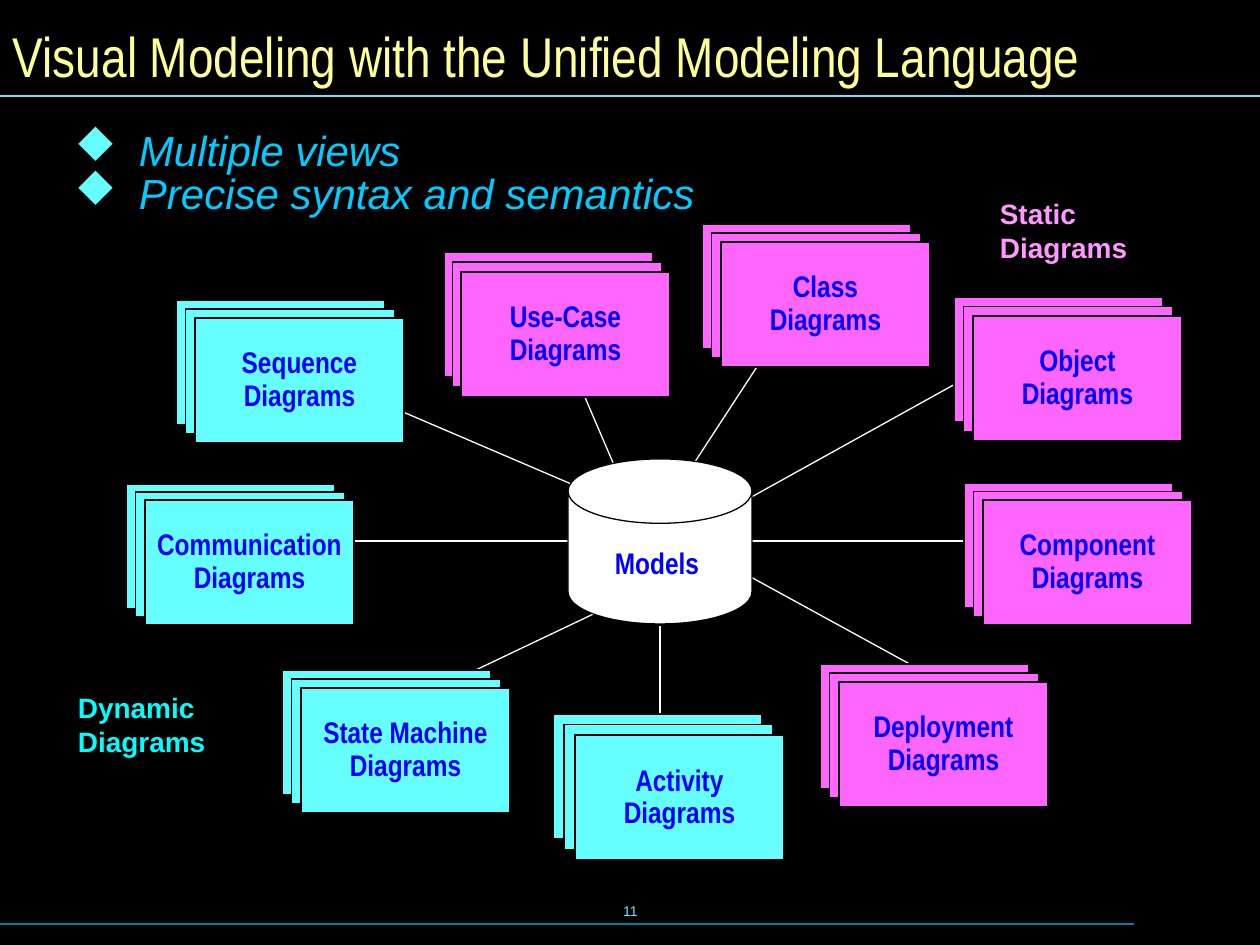
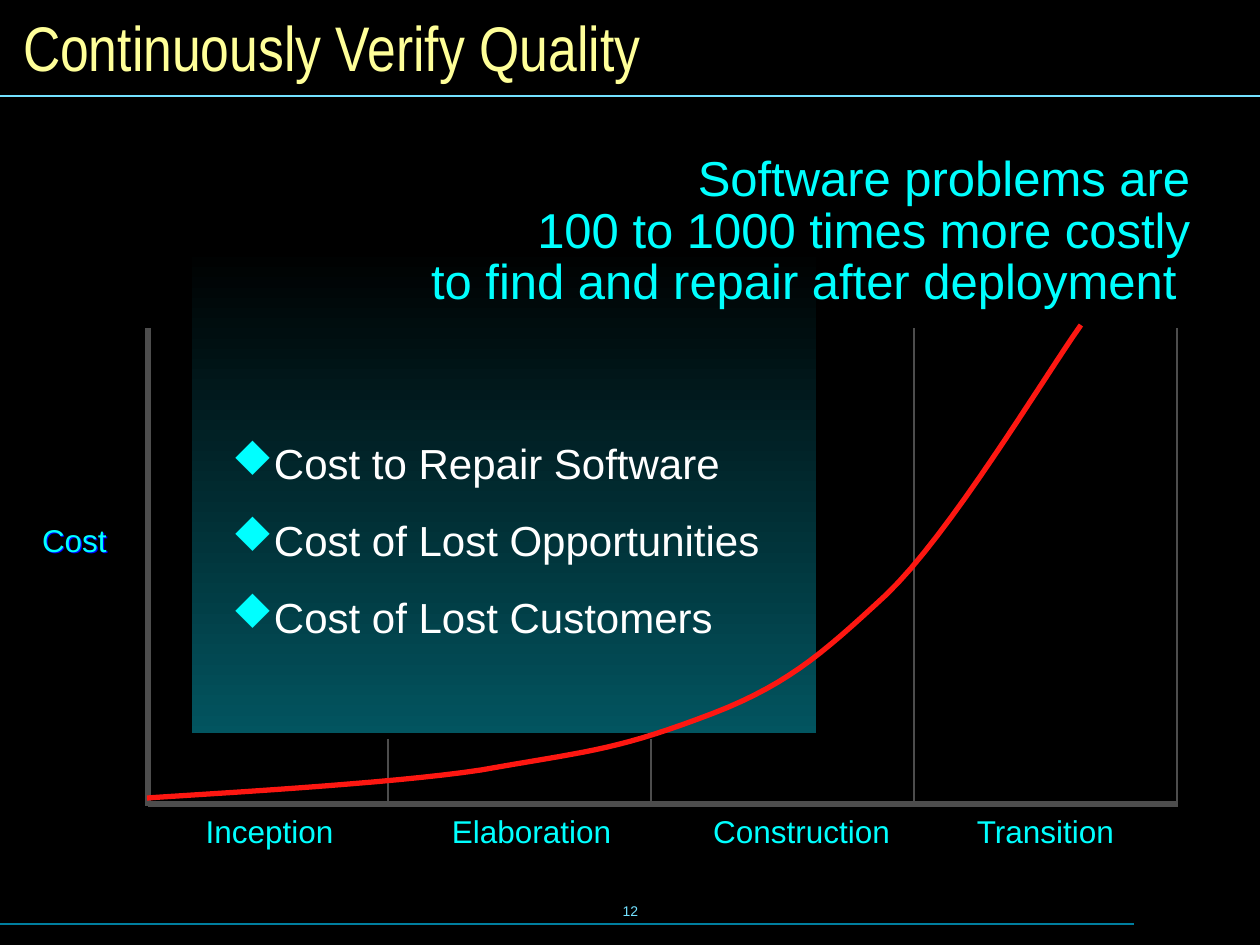
from lxml import etree
from pptx import Presentation
from pptx.dml.color import RGBColor
from pptx.enum.shapes import MSO_CONNECTOR, MSO_SHAPE
from pptx.enum.text import MSO_ANCHOR, PP_ALIGN
from pptx.oxml.ns import qn
from pptx.util import Pt

PX = 914400 / 126
LEFT, CENTER, RIGHT = PP_ALIGN.LEFT, PP_ALIGN.CENTER, PP_ALIGN.RIGHT
TOP, MIDDLE = MSO_ANCHOR.TOP, MSO_ANCHOR.MIDDLE
RECT, CAN = MSO_SHAPE.RECTANGLE, MSO_SHAPE.CAN
STRAIGHT = MSO_CONNECTOR.STRAIGHT
SANS, NARROW = "Arial", "Arial Narrow"
SYMBOLS, DIAMOND = "Wingdings", "u"  # this letter is a diamond in the symbol font

BLACK, WHITE, BLUE = "000000", "FFFFFF", "0000FF"
TITLE, SKY, TEAL = "FFFF99", "73E1FF", "007E9F"
CYAN, PALE_CYAN, PINK, PALE_PINK = "00FFFF", "66FFFF", "FF66FF", "FF99FF"
VIEW, AXIS, CURVE, PANEL = "00CCFF", "4D4D4D", "FD1711", "025560"

# Diagram stacks: name, fill, back card corner, front card corner
CARD_W, CARD_H = 209, 125
STACKS = [
    ("Sequence", PALE_CYAN, (176, 300), (195, 318)),
    ("Use-Case", PINK, (444, 252), (461, 272)),
    ("Class", PINK, (702, 224), (721, 242)),
    ("Object", PINK, (954, 297), (973, 316)),
    ("Component", PINK, (964, 483), (983, 500)),
    ("Deployment", PINK, (820, 664), (839, 682)),
    ("Activity", PALE_CYAN, (553, 714), (575, 735)),
    ("State Machine", PALE_CYAN, (282, 670), (301, 688)),
    ("Communication", PALE_CYAN, (126, 484), (145, 500)),
]
SPOKES = [
    (660, 626, 660, 735), (683, 535, 995, 362), (713, 541, 1005, 541),
    (326, 379, 639, 513), (438, 688, 604, 609), (551, 318, 626, 493),
    (326, 541, 619, 541), (781, 330, 661, 514), (917, 668, 685, 541),
]
GROUPS = [
    ("Dynamic Diagrams", CYAN, (63, 683, 158, 82)),
    ("Static Diagrams", PALE_PINK, (985, 189, 175, 82)),
]
VIEWS = ["Multiple views", "Precise syntax and semantics"]

# Phases: name, label left, label width
PHASES = [("Inception", 165, 209), ("Elaboration", 427, 209),
          ("Construction", 680, 243), ("Transition", 941, 209)]
PHASE_END, PHASE_GAP = 388, 263
COSTS = ["Cost to Repair Software", "Cost of Lost Opportunities",
         "Cost of Lost Customers"]
MESSAGE = ("Software problems are\v100 to 1000 times more costly\v"
           "to find and repair after deployment ")
CURVE_START = (147, 798)
CURVE_PARTS = [
    ((203, 794), (389, 784), (481, 770)),
    ((582, 752), (612, 751), (698, 719)),
    ((784, 688), (820, 656), (886, 595)),
    ((950, 534), (1041, 382), (1081, 325)),
]
CURVE_STEPS = 16


def emu(*lengths):
    return [round(v * PX) for v in lengths]


def rgb(color):
    return RGBColor.from_string(color)


def add_bullet(p, color, indent):
    pPr = p._p.get_or_add_pPr()
    pPr.set("marL", str(emu(indent)[0]))
    pPr.set("indent", str(emu(-indent)[0]))
    clr = etree.SubElement(pPr, qn("a:buClr"))
    etree.SubElement(clr, qn("a:srgbClr"), val=color)
    etree.SubElement(pPr, qn("a:buFont"), typeface=SYMBOLS,
                     pitchFamily="2", charset="2")
    etree.SubElement(pPr, qn("a:buChar"), char=DIAMOND)


def write(sp, paragraphs, size, color, font=SANS, bold=False, italic=False,
          align=LEFT, anchor=TOP, inset=(12, 6), wrap=True, spacing=None,
          before=0, bullet=None):
    """Fill a shape with paragraphs; a vertical tab breaks a line."""
    tf = sp.text_frame
    tf.word_wrap = wrap
    tf.vertical_anchor = anchor
    tf.margin_left = tf.margin_right = emu(inset[0])[0]
    tf.margin_top = tf.margin_bottom = emu(inset[1])[0]
    for i, content in enumerate(paragraphs):
        p = tf.add_paragraph() if i else tf.paragraphs[0]
        if bullet:
            add_bullet(p, *bullet)
        p.alignment = align
        if spacing:
            p.line_spacing = spacing
        if i and before:
            p.space_before = Pt(before)
        for j, line in enumerate(content.split("\v")):
            if j:
                p.add_line_break()
            r = p.add_run()
            r.text = line
            r.font.name, r.font.size = font, Pt(size)
            r.font.bold, r.font.italic = bold, italic
            r.font.color.rgb = rgb(color)


def add_text(s, box, paragraphs, size, color, **style):
    sp = s.shapes.add_textbox(*emu(*box))
    write(sp, paragraphs, size, color, **style)
    return sp


def add_line(s, ends, color, width=0.75):
    c = s.shapes.add_connector(STRAIGHT, *emu(*ends))
    c.line.color.rgb = rgb(color)
    c.line.width = Pt(width)
    etree.SubElement(c._element.spPr, qn("a:effectLst"))


def add_box(s, kind, box, fill, width=0.75):
    sp = s.shapes.add_shape(kind, *emu(*box))
    sp.shadow.inherit = False
    sp.fill.solid()
    sp.fill.fore_color.rgb = rgb(fill)
    sp.line.color.rgb = rgb(BLACK)
    sp.line.width = Pt(width)
    return sp


def add_slide(prs, number, title, box, size):
    """Start a slide with the shared rules, page number and title."""
    s = prs.slides.add_slide(prs.slide_layouts[6])
    s.background.fill.solid()
    s.background.fill.fore_color.rgb = rgb(BLACK)
    add_text(s, (431, 879, 399, 63), [str(number)], 8, SKY,
             align=CENTER, anchor=MIDDLE)
    add_line(s, (0, 96, 1260, 96), SKY)
    add_line(s, (0, 924, 1134, 924), TEAL)
    add_text(s, box, [title], size, TITLE, font=NARROW, anchor=MIDDLE,
             inset=(13, 6))
    return s


def add_stack(s, name, fill, back, front):
    middle = [(b + f) / 2 for b, f in zip(back, front)]
    for corner in (back, middle, front):
        sp = add_box(s, RECT, (*corner, CARD_W, CARD_H), fill)
    write(sp, [name, "Diagrams"], 17, BLUE, font=NARROW, bold=True,
          align=CENTER, anchor=MIDDLE, wrap=False, spacing=0.9)


def add_blue_shadow(sp):
    effects = etree.SubElement(sp._element.spPr, qn("a:effectLst"))
    shadow = etree.SubElement(effects, qn("a:outerShdw"), dist="12700",
                              dir="2700000", algn="ctr", rotWithShape="0")
    etree.SubElement(shadow, qn("a:srgbClr"), val=BLUE)


def curve_points():
    """Sample the chained cubic curves, in EMU."""
    start = CURVE_START
    for a, b, end in CURVE_PARTS:
        for i in range(1, CURVE_STEPS + 1):
            t = i / CURVE_STEPS
            u = 1 - t
            yield emu(*(u**3 * p0 + 3 * u * u * t * p1 + 3 * u * t * t * p2
                        + t**3 * p3
                        for p0, p1, p2, p3 in zip(start, a, b, end)))
        start = end


def build_modeling(prs):
    s = add_slide(prs, 11, "Visual Modeling with the Unified Modeling Language",
                  (0, 21, 1197, 69), 32)
    add_text(s, (63, 125, 692, 100), VIEWS, 24, VIEW, italic=True,
             spacing=0.87, bullet=(PALE_CYAN, 64))
    for ends in SPOKES:
        add_line(s, ends, WHITE)
    for stack in STACKS:
        add_stack(s, *stack)
    models = add_box(s, CAN, (568, 459, 184, 165), WHITE)
    models.adjustments[0] = 0.39
    add_text(s, (600, 541, 115, 47), ["Models"], 17, BLUE, font=NARROW,
             bold=True, inset=(15, 8), wrap=False, spacing=0.9)
    for name, color, box in GROUPS:
        add_text(s, box, [name], 16, color, bold=True, inset=(15, 8))


def build_quality(prs):
    s = add_slide(prs, 12, "Continuously Verify Quality",
                  (10, 10, 1240, 73), 36)
    for i, (name, left, width) in enumerate(PHASES):
        x = PHASE_END + i * PHASE_GAP
        add_line(s, (x, 806, x, 328), AXIS, 1)
        add_text(s, (left, 811, width, 45), [name], 18, CYAN, align=CENTER,
                 inset=(11, 5), spacing=0.9)
    add_line(s, (148, 328, 148, 806), AXIS, 3)
    add_line(s, (148, 804, 1178, 804), AXIS, 3)
    cost = add_text(s, (31, 520, 120, 45), ["Cost"], 18, CYAN,
                    inset=(11, 5), spacing=0.9)
    add_blue_shadow(cost)

    panel = add_box(s, RECT, (189, 247, 630, 489), BLACK, 3)
    panel.fill.gradient()
    panel.fill.gradient_angle = 270
    for stop, color, place in zip(panel.fill.gradient_stops,
                                  (BLACK, PANEL), (0, 1)):
        stop.color.rgb = rgb(color)
        stop.position = place

    add_text(s, (42, 150, 1160, 165), [MESSAGE], 28, CYAN, align=RIGHT,
             spacing=0.87)
    add_text(s, (219, 432, 703, 217), COSTS, 24, WHITE, before=15,
             inset=(13, 6), bullet=(CYAN, 39))

    builder = s.shapes.build_freeform(*emu(*CURVE_START), scale=1.0)
    builder.add_line_segments(list(curve_points()), close=False)
    curve = builder.convert_to_shape()
    curve.shadow.inherit = False
    curve.fill.background()
    curve.line.color.rgb = rgb(CURVE)
    curve.line.width = Pt(3)


def main():
    prs = Presentation()
    prs.slide_width, prs.slide_height = emu(1260, 945)
    build_modeling(prs)
    build_quality(prs)
    prs.save("out.pptx")


if __name__ == "__main__":
    main()
